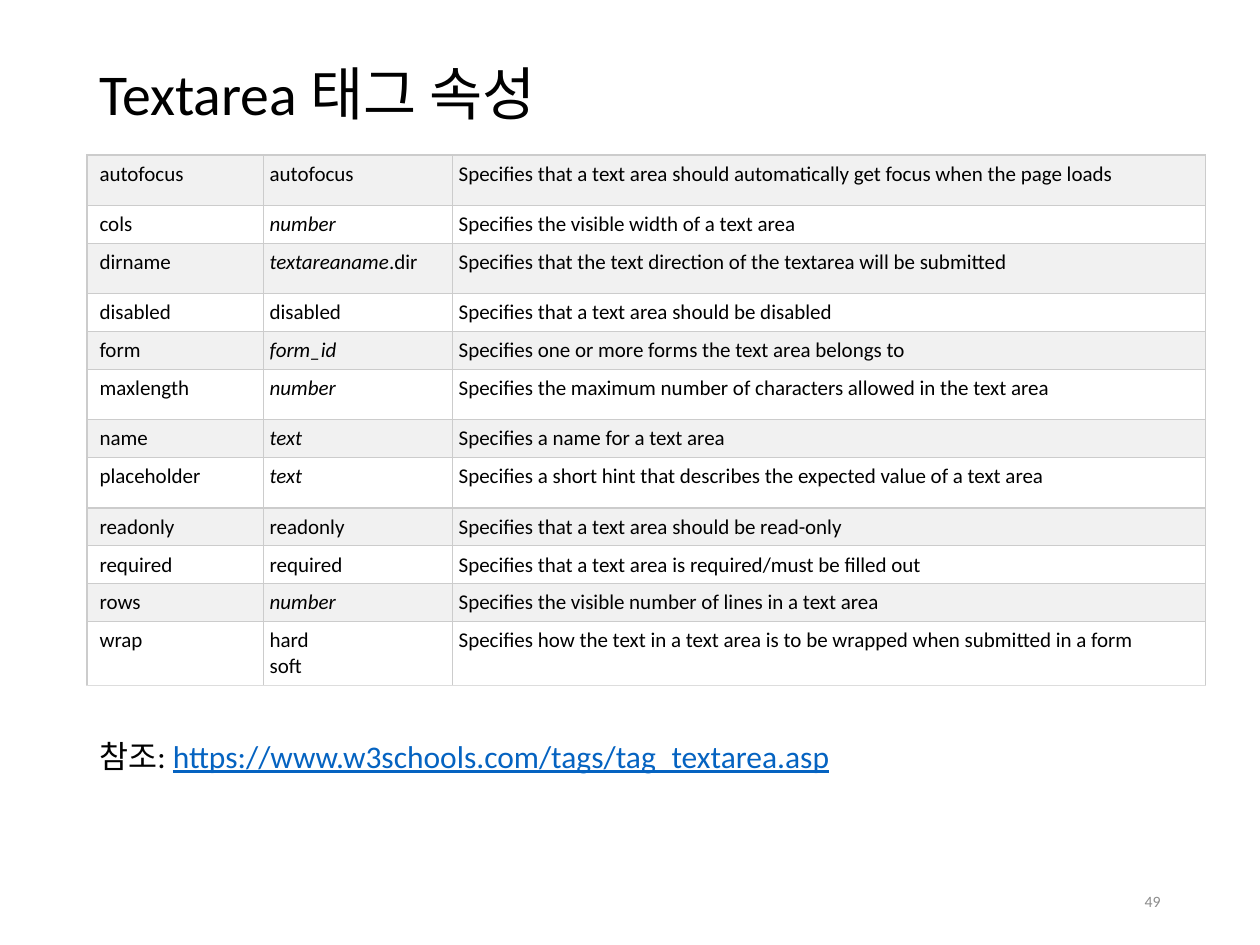
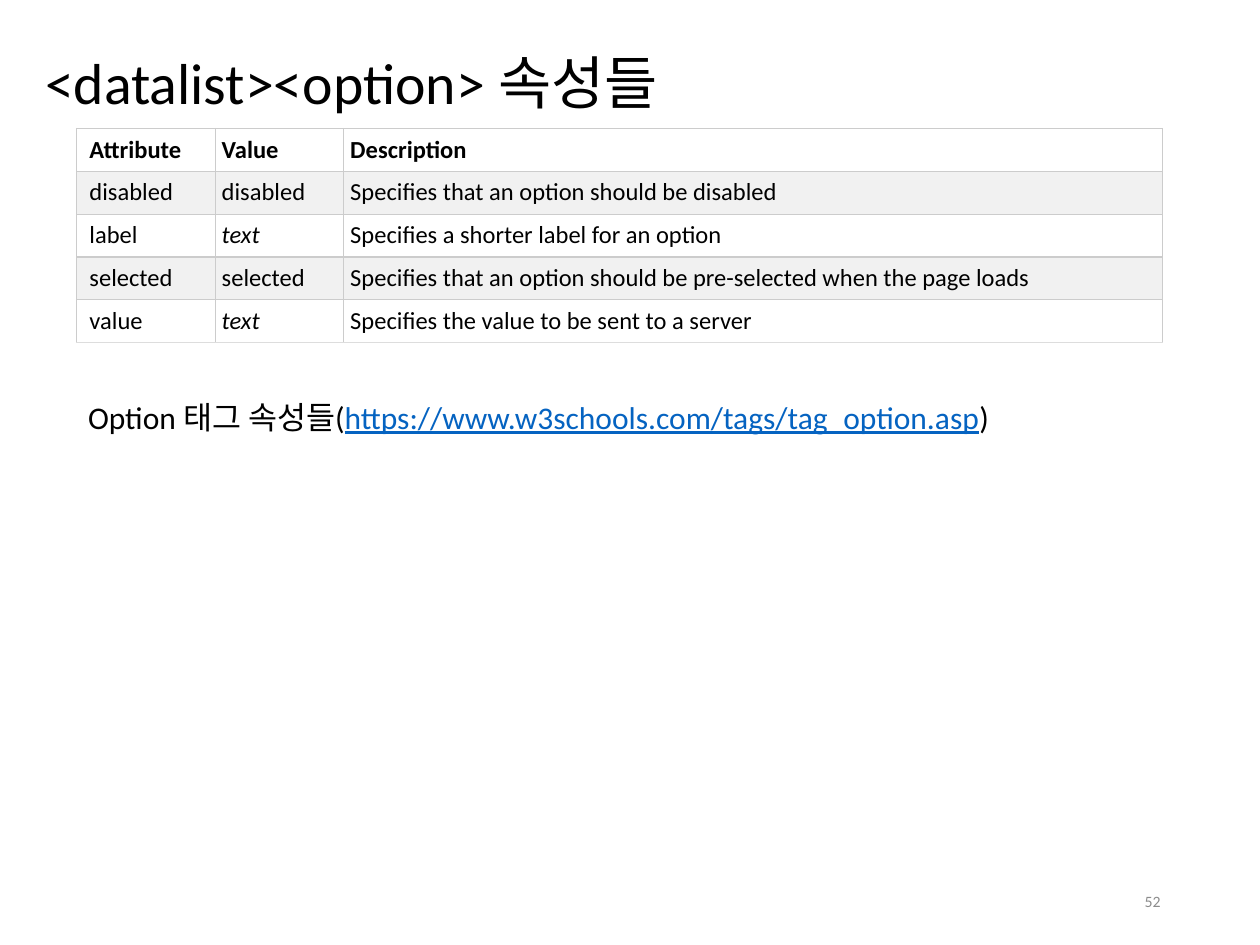
import pptx
import pptx.util
import pptx.dml.color
import pptx.enum.text
import pptx.oxml.ns
import lxml.etree

Inches = pptx.util.Inches
ALIGN = pptx.enum.text.PP_ALIGN
ANCHOR = pptx.enum.text.MSO_ANCHOR

FONT = "Calibri"
COLORS = {
    "text": "000000",
    "link": "0563C1",
    "number": "8C8C8C",
    "stripe": "F1F1F1",
    "plain": "FFFFFF",
    "border": "CCCCCC",
    "bottom": "DDDDDD",
}

TALL, SHORT, DOUBLE = 0.4, 0.3, 0.51
# Each row: height, attribute, value, description; *...* marks italics.
TEXTAREA_ROWS = [
    (TALL, "autofocus", "autofocus",
     "Specifies that a text area should automatically get focus when the page loads"),
    (SHORT, "cols", "*number*", "Specifies the visible width of a text area"),
    (TALL, "dirname", "*textareaname*.dir",
     "Specifies that the text direction of the textarea will be submitted"),
    (SHORT, "disabled", "disabled", "Specifies that a text area should be disabled"),
    (SHORT, "form", "*form_id*", "Specifies one or more forms the text area belongs to"),
    (TALL, "maxlength", "*number*",
     "Specifies the maximum number of characters allowed in the text area"),
    (SHORT, "name", "*text*", "Specifies a name for a text area"),
    (TALL, "placeholder", "*text*",
     "Specifies a short hint that describes the expected value of a text area"),
    (SHORT, "readonly", "readonly", "Specifies that a text area should be read-only"),
    (SHORT, "required", "required",
     "Specifies that a text area is required/must be filled out"),
    (SHORT, "rows", "*number*", "Specifies the visible number of lines in a text area"),
    (DOUBLE, "wrap", "hard\nsoft",
     "Specifies how the text in a text area is to be wrapped when submitted in a form"),
]
OPTION_ROW = 0.34
OPTION_ROWS = [
    (OPTION_ROW, "Attribute", "Value", "Description"),
    (OPTION_ROW, "disabled", "disabled", "Specifies that an option should be disabled"),
    (OPTION_ROW, "label", "*text*", "Specifies a shorter label for an option"),
    (OPTION_ROW, "selected", "selected",
     "Specifies that an option should be pre-selected when the page loads"),
    (OPTION_ROW, "value", "*text*", "Specifies the value to be sent to a server"),
]


def rgb(name):
    return pptx.dml.color.RGBColor.from_string(COLORS[name])


def add_run(p, text, size, color="text", bold=False, italic=False, underline=False):
    r = p.add_run()
    r.text = text
    r.font.name = FONT
    r.font.size = pptx.util.Pt(size)
    r.font.color.rgb = rgb(color)
    r.font.bold = bold
    r.font.italic = italic
    r.font.underline = underline


def add_text_box(slide, box, anchor=ANCHOR.TOP, wrap=True):
    """Add an empty text box and return its first paragraph."""
    tf = slide.shapes.add_textbox(*map(Inches, box)).text_frame
    tf.word_wrap = wrap
    tf.vertical_anchor = anchor
    return tf.paragraphs[0]


def add_title(slide, text, box):
    p = add_text_box(slide, box, ANCHOR.MIDDLE)
    p.line_spacing = 0.9
    add_run(p, text, 33)


def add_slide_number(slide, number):
    p = add_text_box(slide, (7.06, 6.95, 2.25, 0.4), ANCHOR.MIDDLE)
    p.alignment = ALIGN.RIGHT
    add_run(p, str(number), 9, "number")


def add_reference(slide, box, before, url, after="", wrap=True):
    p = add_text_box(slide, box, wrap=wrap)
    add_run(p, before, 18)
    add_run(p, url, 18, "link", underline=True)
    if after:
        add_run(p, after, 18)


def set_borders(cell, bottom):
    tc_pr = cell._tc.get_or_add_tcPr()
    qn = pptx.oxml.ns.qn
    for side in "LRTB":
        ln = lxml.etree.SubElement(tc_pr, qn(f"a:ln{side}"), w=str(pptx.util.Pt(0.75)))
        fill = lxml.etree.SubElement(ln, qn("a:solidFill"))
        color = bottom if side == "B" else "border"
        lxml.etree.SubElement(fill, qn("a:srgbClr"), val=COLORS[color])


def fill_cell(cell, text, size, bold):
    """Write one paragraph per line, with the parts between asterisks in italics."""
    tf = cell.text_frame
    for i, line in enumerate(text.split("\n")):
        p = tf.add_paragraph() if i else tf.paragraphs[0]
        for j, part in enumerate(line.split("*")):
            if part:
                add_run(p, part, size, bold=bold, italic=j % 2 == 1)


def add_attribute_table(slide, left, top, widths, rows, size, header=False):
    """Add a striped table; the first row below any header is shaded."""
    height = sum(row[0] for row in rows)
    table = slide.shapes.add_table(len(rows), len(widths), Inches(left), Inches(top),
                                   Inches(sum(widths)), Inches(height)).table
    table.first_row = header
    table.horz_banding = False
    for column, width in zip(table.columns, widths):
        column.width = Inches(width)
    for i, (row_height, *texts) in enumerate(rows):
        table.rows[i].height = Inches(row_height)
        for j, text in enumerate(texts):
            cell = table.cell(i, j)
            cell.margin_left = Inches(0.05 if j else 0.1)
            cell.margin_right = cell.margin_top = cell.margin_bottom = Inches(0.05)
            set_borders(cell, "bottom" if i == len(rows) - 1 else "border")
            cell.fill.solid()
            cell.fill.fore_color.rgb = rgb("stripe" if i % 2 == header else "plain")
            fill_cell(cell, text, size, bold=header and i == 0)


def add_textarea_slide(prs):
    slide = prs.slides.add_slide(prs.slide_layouts[6])
    add_title(slide, "Textarea 태그 속성", (0.69, 0.4, 8.62, 0.74))
    add_attribute_table(slide, 0.69, 1.23, (1.4, 1.5, 5.98), TEXTAREA_ROWS, 12)
    add_slide_number(slide, 49)
    add_reference(slide, (0.69, 5.8, 6.1, 0.4), "참조: ",
                  "https://www.w3schools.com/tags/tag_textarea.asp", wrap=False)


def add_option_slide(prs):
    slide = prs.slides.add_slide(prs.slide_layouts[6])
    add_title(slide, "<datalist><option> 속성들", (0.26, 0.21, 9.45, 0.94))
    add_slide_number(slide, 52)
    add_attribute_table(slide, 0.61, 1.02, (1.1, 1.02, 6.5), OPTION_ROWS, 14, header=True)
    add_reference(slide, (0.6, 3.11, 8.51, 0.4), "Option 태그 속성들(",
                  "https://www.w3schools.com/tags/tag_option.asp", ")")


def main():
    prs = pptx.Presentation()
    prs.slide_width, prs.slide_height = Inches(10), Inches(7.5)
    add_textarea_slide(prs)
    add_option_slide(prs)
    prs.save("out.pptx")


if __name__ == "__main__":
    main()
